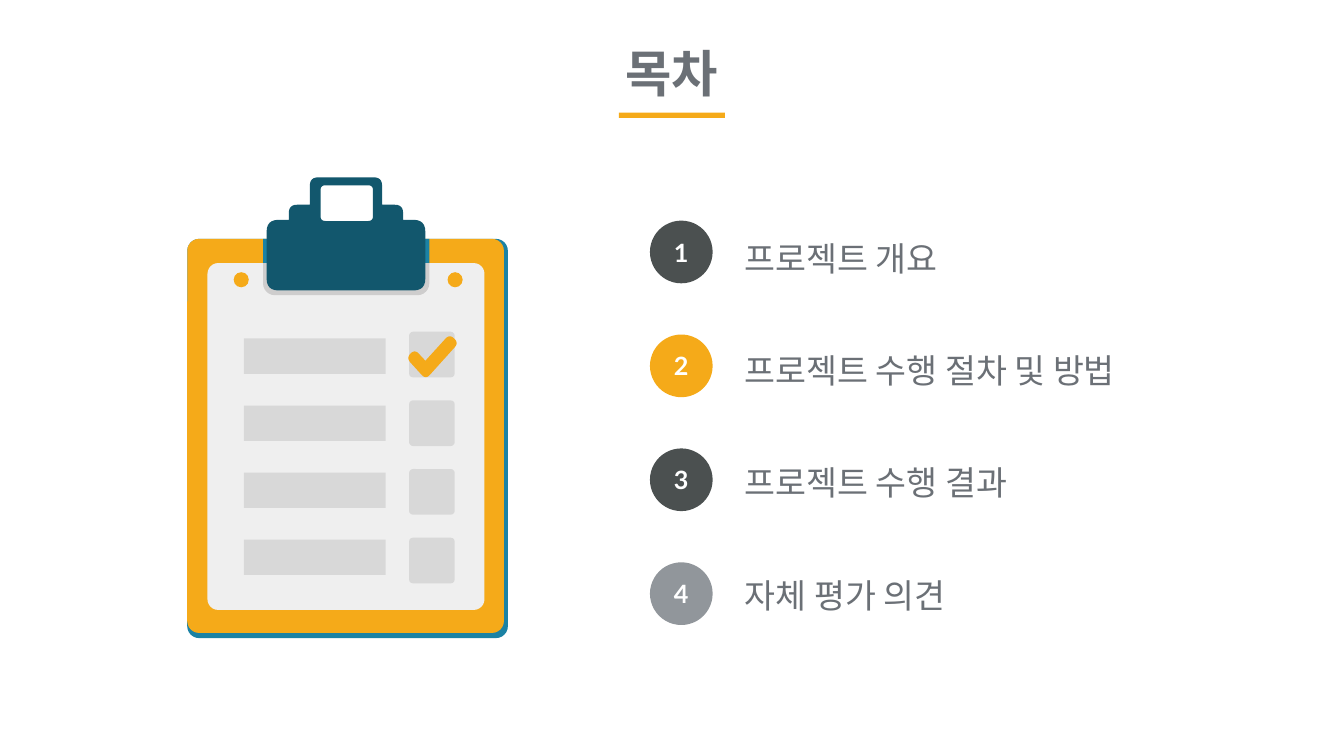
"""Build the contents slide: a clipboard beside four numbered topics."""
from pptx import Presentation
from pptx.dml.color import RGBColor as RGB
from pptx.enum.shapes import MSO_SHAPE as Kind
from pptx.enum.text import MSO_ANCHOR as Anchor, PP_ALIGN as Align
from pptx.util import Cm, Pt

GOLD = RGB(0xF5, 0xAA, 0x19)
DARK = RGB(0x4B, 0x50, 0x50)
GREY = RGB(0x91, 0x96, 0x9B)
INK = RGB(0x6B, 0x70, 0x76)
WHITE = RGB(0xFF, 0xFF, 0xFF)
BLUE = RGB(0x1B, 0x82, 0xA4)
TEAL = RGB(0x12, 0x57, 0x6D)
PAPER = RGB(0xEF, 0xEF, 0xEF)
SHADE = RGB(0xCE, 0xCD, 0xCD)
PALE = RGB(0xD8, 0xD8, 0xD8)

TITLE = "목차"
TOPICS = [
    ("프로젝트 개요", DARK),
    ("프로젝트 수행 절차 및 방법", GOLD),
    ("프로젝트 수행 결과", DARK),
    ("자체 평가 의견", GREY),
]
BOARD = [
    ((4.72, 6.02, 8.08, 10.06), BLUE, 0.3),
    ((4.72, 6.02, 7.98, 9.93), GOLD, 0.3),
    ((5.23, 6.63, 6.98, 8.74), PAPER, 0.27),
    ((6.63, 6.02, 4.19, 0.61), BLUE, 0),
]
MID = 8.72
HALF = [
    (0.91, 4.47, 0.21), (0.91, 5.16, 0), (1.44, 5.16, 0.21),
    (1.44, 5.54, 0), (2, 5.54, 0.3), (2, 7.32, 0.3),
]
CLASP = [(MID + x, y, r) for x, y, r in HALF]
CLASP += [(MID - x, y, r) for x, y, r in reversed(HALF)]
HOLE = [(8.08, 4.67, 0.12), (8.08, 5.57, 0.12),
        (9.4, 5.57, 0.12), (9.4, 4.67, 0.12)]
TICK = [(10.24, 9.02, 0.15), (10.45, 8.8, 0.15), (10.72, 9.09, 0),
        (11.33, 8.42, 0.15), (11.56, 8.64, 0.15), (10.73, 9.56, 0.15)]


def write(shape, words, size=18, color=INK, bold=False, align=Align.CENTER,
          anchor=Anchor.MIDDLE, space=None):
    frame = shape.text_frame
    frame.word_wrap = True
    frame.vertical_anchor = anchor
    frame.margin_left = frame.margin_right = 0
    frame.margin_top = frame.margin_bottom = 0
    para = frame.paragraphs[0]
    para.alignment, para.line_spacing = align, space
    run = para.add_run()
    run.text = words
    font = run.font
    font.name, font.size, font.bold = "Lato", Pt(size), bold
    font.color.rgb = color


def paint(shape, color):
    shape.shadow.inherit = False
    shape.fill.solid()
    shape.fill.fore_color.rgb = color
    shape.line.fill.background()
    return shape


def block(home, kind, box, color):
    return paint(home.add_shape(kind, *map(Cm, box)), color)


def panel(home, box, color, curve=0):
    if not curve:
        return block(home, Kind.RECTANGLE, box, color)
    shape = block(home, Kind.ROUNDED_RECTANGLE, box, color)
    shape.adjustments[0] = curve / min(box[2:])
    return shape


def soften(points, steps=6):
    """Replace each corner (x, y, radius) by a sampled curve."""
    curve = []
    for i, (x, y, r) in enumerate(points):
        ends = []
        for px, py, _ in (points[i - 1], points[(i + 1) % len(points)]):
            part = r / ((px - x) ** 2 + (py - y) ** 2) ** 0.5
            ends.append((x + (px - x) * part, y + (py - y) * part))
        (ax, ay), (bx, by) = ends
        for k in range(steps + 1 if r else 1):
            t = k / steps
            u = 1 - t
            curve.append((Cm(u * u * ax + 2 * u * t * x + t * t * bx),
                          Cm(u * u * ay + 2 * u * t * y + t * t * by)))
    return curve


def trace(home, color, *loops):
    first, *others = [soften(loop) for loop in loops]
    path = home.build_freeform(*first[0])
    path.add_line_segments(first[1:], close=True)
    for loop in others:
        path.move_to(*loop[0])
        path.add_line_segments(loop[1:], close=True)
    return paint(path.convert_to_shape(), color)


def draw_board(home):
    for box, color, curve in BOARD:
        panel(home, box, color, curve)
    lip = block(home, Kind.ROUND_2_SAME_RECTANGLE, (6.63, 6.63, 4.19, 0.81), SHADE)
    lip.adjustments[0], lip.adjustments[1] = 0, 0.37
    trace(home, TEAL, CLASP, HOLE)
    for x in (5.89, 11.28):
        block(home, Kind.OVAL, (x, 6.86, 0.38, 0.38), GOLD)
    for i in range(4):
        panel(home, (6.15, 8.53 + 1.69 * i, 3.57, 0.89), PALE)
        panel(home, (10.31, 8.36 + 1.73 * i, 1.15, 1.15), PALE, 0.1)
    trace(home, GOLD, TICK)


def draw_topics(home):
    for i, (topic, color) in enumerate(TOPICS):
        disc = block(home, Kind.OVAL, (16.38, 5.56 + 2.87 * i, 1.58, 1.58), color)
        write(disc, str(i + 1), color=WHITE, bold=True)
        label = home.add_textbox(*map(Cm, (18.77, 5.54 + 2.83 * i, 15.1, 1.83)))
        write(label, topic, size=24, align=Align.JUSTIFY, anchor=Anchor.TOP,
              space=1.44)


def main():
    deck = Presentation()
    deck.slide_width, deck.slide_height = Cm(33.87), Cm(19.05)
    shapes = deck.slides.add_slide(deck.slide_layouts[6]).shapes
    head = shapes.add_textbox(*map(Cm, (10.01, 1.04, 13.84, 1.55)))
    write(head, TITLE, size=36, bold=True)
    draw_topics(shapes.add_group_shape().shapes)
    draw_board(shapes.add_group_shape().shapes)
    panel(shapes, (15.6, 2.84, 2.67, 0.13), GOLD)
    deck.save("out.pptx")


if __name__ == "__main__":
    main()
